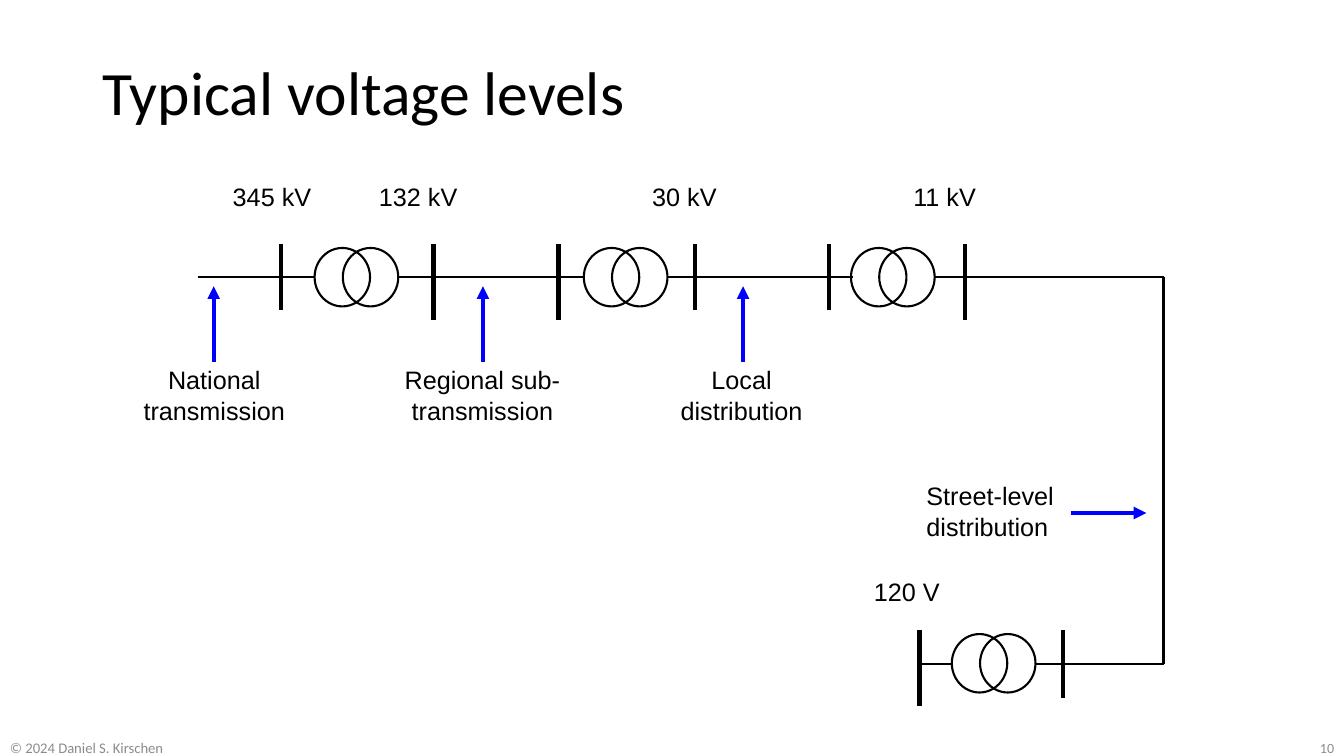
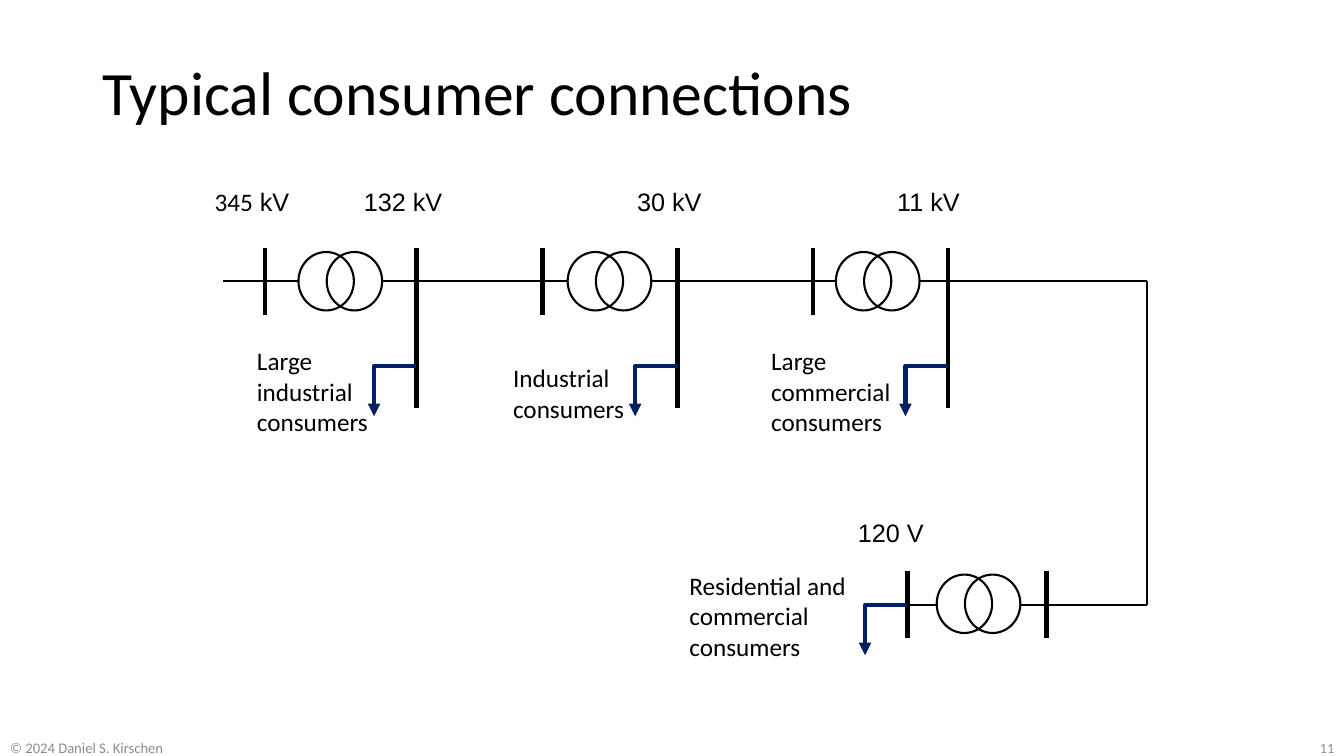
from pptx import Presentation
from pptx.dml.color import RGBColor
from pptx.enum.shapes import MSO_CONNECTOR as CONNECTOR, MSO_SHAPE as SHAPE
from pptx.enum.text import MSO_ANCHOR as ANCHOR, PP_ALIGN as ALIGN
from pptx.oxml.ns import qn
from pptx.util import Inches, Pt
from lxml import etree

COLORS = {"ink": "000000", "footer": "8C8C8C", "pointer": "0000FF", "load": "002060"}
COIL_WIDTH, COIL_HEIGHT, COIL_STEP = 0.55, 0.58, 0.28
WIRE, BAR = 1.5, 3  # line widths in points

# Bars are (x, top, bottom); wires are (left, right) along a row;
# levels are (left, top, width, text).
DIAGRAMS = [
    {
        "title": "Typical voltage levels",
        "number": "10",
        "rows": {
            2.75: [(1.96, 3.12), (3.95, 5.79), (6.62, 8.46), (9.27, 11.54)],
            6.59: [(9.12, 9.44), (10.27, 11.54)],
        },
        "feeder": 11.54,
        "coils": [(3.12, 2.46), (5.79, 2.46), (8.44, 2.46), (9.44, 6.29)],
        "bars": [(2.79, 2.42, 3.08), (4.3, 2.42, 3.17), (5.54, 2.42, 3.17),
                 (6.89, 2.42, 3.08), (8.22, 2.42, 3.08), (9.57, 2.42, 3.17),
                 (9.12, 6.25, 7), (10.54, 6.25, 6.92)],
        "levels": [(2.21, 1.75, 0.99, "345 kV"), (3.66, 1.75, 0.99, "132 kV"),
                   (6.37, 1.75, 0.85, "30 kV"), (8.96, 1.75, 0.83, "11 kV"),
                   (8.57, 5.67, 0.86, "120 V")],
        "arrow_color": "pointer",
        "arrows": [[(x, 3.59), (x, 2.84)] for x in (2.12, 4.79, 7.37)]
                  + [[(10.62, 5.09), (11.37, 5.09)]],
        "caption_font": "Arial",
        "captions": [
            (1.28, 3.57, 1.69, ["National", "transmission"], ALIGN.CENTER),
            (3.87, 3.57, 1.83, ["Regional sub-", "transmission"], ALIGN.CENTER),
            (6.61, 3.57, 1.49, ["Local", "distribution"], ALIGN.CENTER),
            (9.09, 4.72, 1.49, ["Street-level", "distribution"], ALIGN.LEFT),
        ],
    },
    {
        "title": "Typical consumer connections",
        "number": "11",
        "rows": {
            2.79: [(2.21, 2.96), (3.8, 5.63), (6.47, 8.3), (9.11, 11.38)],
            6: [(8.98, 9.28), (10.11, 11.38)],
        },
        "feeder": 11.38,
        "coils": [(2.96, 2.5), (5.63, 2.5), (8.29, 2.5), (9.29, 5.7)],
        "bars": [(2.63, 2.46, 3.13), (4.13, 2.46, 4.05), (5.38, 2.46, 3.13),
                 (6.72, 2.46, 4.05), (8.06, 2.46, 3.13), (9.4, 2.46, 4.05),
                 (9, 5.66, 6.33), (10.38, 5.66, 6.33)],
        "levels": [(3.51, 1.8, 0.99, "132 kV"), (6.22, 1.8, 0.85, "30 kV"),
                   (8.8, 1.8, 0.83, "11 kV"), (8.41, 5.08, 0.86, "120 V")],
        "arrow_color": "load",
        "arrows": [[(x, y), (x - 0.42, y), (x - 0.42, y + 0.5)]
                   for x, y in ((4.13, 3.63), (6.72, 3.63), (9.4, 3.63), (9, 6))],
        "caption_font": "Calibri",
        "captions": [
            (2.45, 3.38, 1.42, ["Large", "industrial", "consumers"], ALIGN.LEFT),
            (4.99, 3.55, 1.42, ["Industrial", "consumers"], ALIGN.LEFT),
            (7.55, 3.38, 1.48, ["Large", "commercial", "consumers"], ALIGN.LEFT),
            (6.74, 5.61, 1.93, ["Residential and", "commercial", "consumers"], ALIGN.LEFT),
        ],
    },
]


def add_text(slide, box, lines, size=18, font="Arial", color="ink",
             align=ALIGN.LEFT, anchor=ANCHOR.TOP, wrap=False):
    """Add one paragraph per line and return the text frame."""
    frame = slide.shapes.add_textbox(*map(Inches, box)).text_frame
    frame.word_wrap = wrap
    frame.vertical_anchor = anchor
    frame.text = "\n".join(lines)
    for paragraph in frame.paragraphs:
        paragraph.alignment = align
        paragraph.font.size = Pt(size)
        paragraph.font.name = font
        paragraph.font.color.rgb = RGBColor.from_string(COLORS[color])
    return frame


def add_line(slide, points, width, color="ink", arrow=False):
    """Draw a connector through two points, or an open outline through more."""
    points = [(Inches(x), Inches(y)) for x, y in points]
    if len(points) == 2:
        line = slide.shapes.add_connector(CONNECTOR.STRAIGHT, *points[0], *points[1])
        etree.SubElement(line._element.spPr, qn("a:effectLst"))
    else:
        outline = slide.shapes.build_freeform(*points[0])
        outline.add_line_segments(points[1:], close=False)
        line = outline.convert_to_shape()
        line.fill.background()
        line.shadow.inherit = False
    line.line.color.rgb = RGBColor.from_string(COLORS[color])
    line.line.width = Pt(width)
    if arrow:
        etree.SubElement(line.line._get_or_add_ln(), qn("a:tailEnd"), type="triangle")


prs = Presentation()
prs.slide_width, prs.slide_height = Inches(13.33), Inches(7.5)

for diagram in DIAGRAMS:
    slide = prs.slides.add_slide(prs.slide_layouts[6])
    title = add_text(slide, (0.92, 0.4, 11.5, 1.1), [diagram["title"]], 44, "Calibri",
                     anchor=ANCHOR.MIDDLE, wrap=True)
    title.paragraphs[0].line_spacing = 0.9
    add_text(slide, (0, 7.22, 3.64, 0.4), ["© 2024 Daniel S. Kirschen"], 10.5, "Calibri",
             "footer", anchor=ANCHOR.MIDDLE, wrap=True)
    add_text(slide, (10.33, 7.26, 3, 0.31), [diagram["number"]], 10, "Calibri",
             "footer", ALIGN.RIGHT, ANCHOR.MIDDLE, True)

    for y, wires in diagram["rows"].items():
        for left, right in wires:
            add_line(slide, [(left, y), (right, y)], WIRE)
    add_line(slide, [(diagram["feeder"], y) for y in diagram["rows"]], WIRE)
    for x, top, bottom in diagram["bars"]:
        add_line(slide, [(x, top), (x, bottom)], BAR)

    for left, top in diagram["coils"]:
        for x in (left + COIL_STEP, left):
            coil = slide.shapes.add_shape(SHAPE.OVAL, Inches(x), Inches(top),
                                          Inches(COIL_WIDTH), Inches(COIL_HEIGHT))
            coil.fill.background()
            coil.line.color.rgb = RGBColor.from_string(COLORS["ink"])
            coil.line.width = Pt(WIRE)
            coil.shadow.inherit = False

    for left, top, width, level in diagram["levels"]:
        add_text(slide, (left, top, width, 0.4), [level])
    for points in diagram["arrows"]:
        add_line(slide, points, BAR, diagram["arrow_color"], arrow=True)
    for left, top, width, lines, align in diagram["captions"]:
        add_text(slide, (left, top, width, 0.1 + 0.3 * len(lines)), lines,
                 font=diagram["caption_font"], align=align)

# The consumer slide sets the first level in two fonts.
top_level = add_text(slide, (2.03, 1.8, 0.99, 0.4), ["345"], font="Calibri")
unit = top_level.paragraphs[0].add_run()
unit.text = " kV"
unit.font.name = "Arial"

prs.save("out.pptx")
